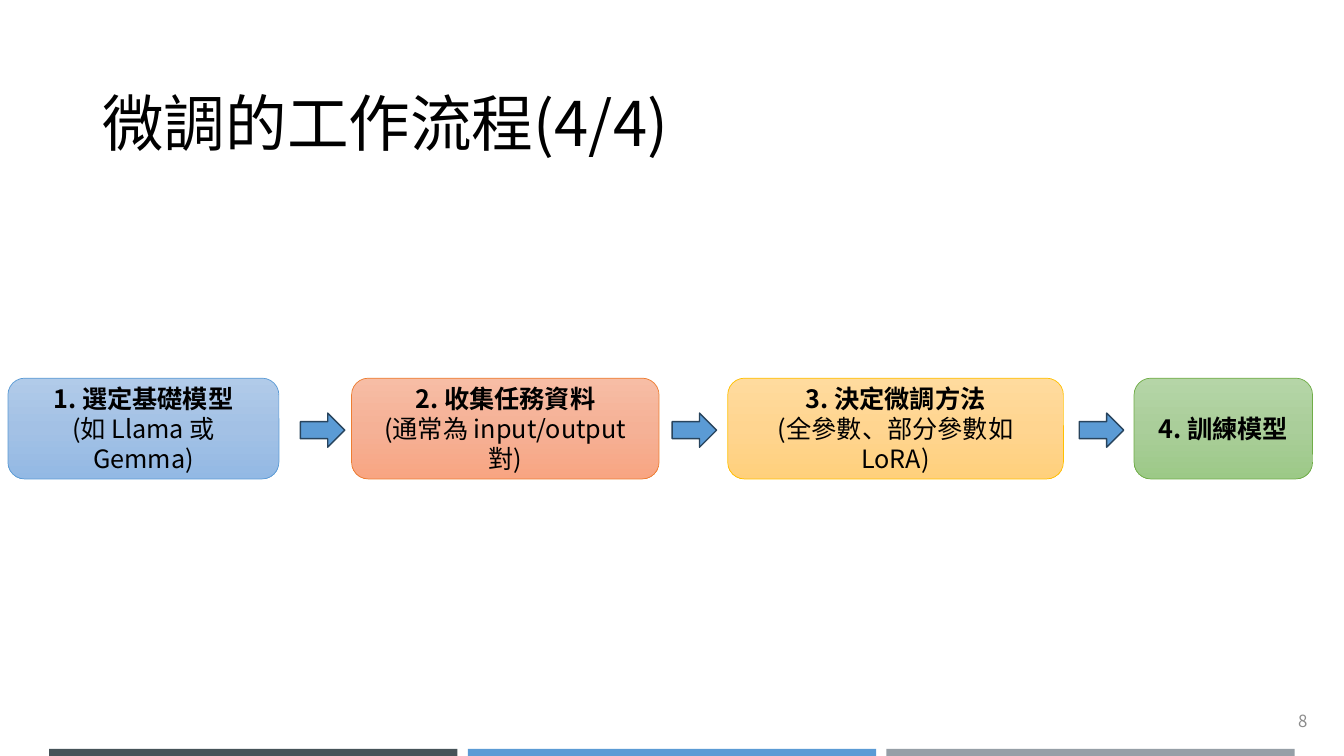
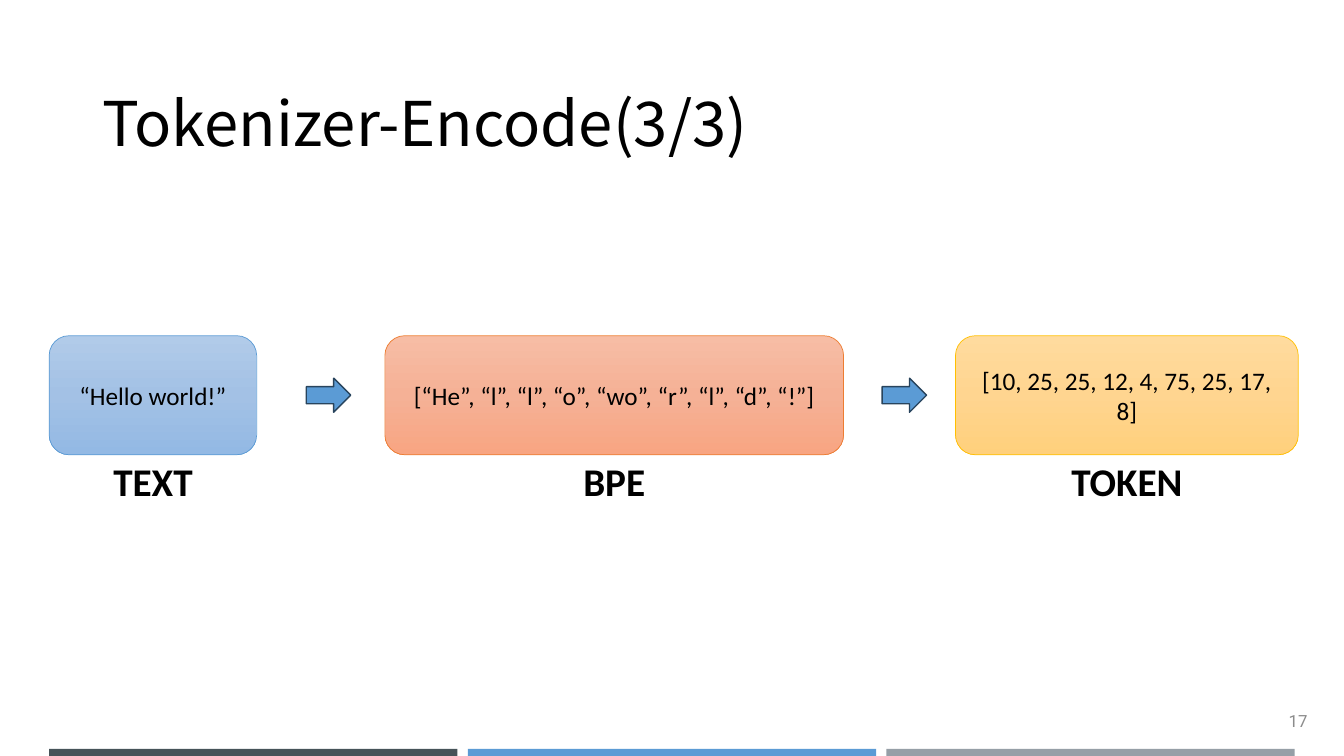
import copy

import pptx
import pptx.dml.color
import pptx.enum.shapes
import pptx.enum.text
import pptx.oxml.ns
import pptx.util

Cm, Pt = pptx.util.Cm, pptx.util.Pt
Shape = pptx.enum.shapes.MSO_SHAPE
Align = pptx.enum.text.PP_ALIGN
Anchor = pptx.enum.text.MSO_ANCHOR
qn = pptx.oxml.ns.qn

CJK, LATIN, NUMBER = "Noto Sans CJK SC", "Calibri", "Roboto"
COLORS = {
    "text": "000000", "number": "8C8C8C", "arrow": "5B9BD5", "arrow_line": "28445D",
    "band_dark": "465359", "band_blue": "5B9BD5", "band_gray": "969FA7",
}
# Outline, then gradient stops from top to bottom
CARD_STYLES = [
    ("5B9BD5", ("B1CBE9", "A3C1E5", "93B9E4")),
    ("ED7D31", ("F7BDA5", "F5B196", "F8A582")),
    ("FFC000", ("FFDB9E", "FFD590", "FFD07C")),
    ("70AD47", ("B5D5A7", "AACE9A", "9CC987")),
]
BANDS = ("band_dark", "band_blue", "band_gray")

# Lengths in centimetres; a card is left, width, heading, body, label
SLIDES = [
    {
        "title": "微調的工作流程(4/4)", "number": "8", "number_font": CJK,
        "card_font": CJK, "card_top": 9.53, "card_height": 2.54,
        "cards": [
            (0.2, 6.83, "1. 選定基礎模型", "(如 Llama 或 Gemma)", None),
            (8.86, 7.75, "2. 收集任務資料", "(通常為 input/output 對)", None),
            (18.34, 8.46, "3. 決定微調方法", "(全參數、部分參數如 LoRA)", None),
            (28.58, 4.5, "4. 訓練模型", None, None),
        ],
        "arrow_top": 10.41, "arrows": (7.57, 16.94, 27.2),
    },
    {
        "title": "Tokenizer-Encode(3/3)", "number": "17", "number_font": NUMBER,
        "card_font": LATIN, "card_top": 8.46, "card_height": 3,
        "cards": [
            (1.24, 5.23, None, "“Hello world!”", "TEXT"),
            (9.7, 11.56, None, "[“He”, “l”, “l”, “o”, “wo”, “r”, “l”, “d”, “!”]", "BPE"),
            (24.08, 8.64, None, "[10, 25, 25, 12, 4, 75, 25, 17, 8]", "TOKEN"),
        ],
        "arrow_top": 9.53, "arrows": (7.72, 22.23),
    },
]


def rgb(value):
    return pptx.dml.color.RGBColor.from_string(value)


def write(frame, text, *, size, font, color="text", bold=False, align=Align.LEFT, spacing=None):
    """Write text into the frame's empty first paragraph, or into a new one."""
    paragraph = frame.paragraphs[0] if not frame.text else frame.add_paragraph()
    paragraph.alignment = align
    paragraph.line_spacing = spacing
    run = paragraph.add_run()
    run.text = text
    run.font.size, run.font.bold, run.font.name = Pt(size), bold, font
    run.font.color.rgb = rgb(COLORS[color])
    east_asian = copy.deepcopy(run.font._element.find(qn("a:latin")))
    east_asian.tag = qn("a:ea")
    run.font._element.find(qn("a:latin")).addnext(east_asian)


def add_text(slide, box, text, *, anchor=Anchor.MIDDLE, **text_format):
    frame = slide.shapes.add_textbox(*map(Cm, box)).text_frame
    frame.word_wrap = True
    frame.vertical_anchor = anchor
    write(frame, text, **text_format)


def add_shape(slide, kind, box, *, fill=None, line=None, line_width=1):
    shape = slide.shapes.add_shape(kind, *map(Cm, box))
    shape.shadow.inherit = False
    if fill:
        shape.fill.solid()
        shape.fill.fore_color.rgb = rgb(fill)
    if line:
        shape.line.color.rgb = rgb(line)
        shape.line.width = Pt(line_width)
    else:
        shape.line.fill.background()
    return shape


def fill_gradient(shape, colors):
    """Fill with three evenly spaced stops running downwards."""
    shape.fill.gradient()
    shape.fill.gradient_angle = 270
    stops = shape._element.spPr.find(".//" + qn("a:gsLst"))
    stops.insert(1, copy.deepcopy(stops[0]))
    for index, (stop, color) in enumerate(zip(shape.fill.gradient_stops, colors)):
        stop.position = index / 2
        stop.color.rgb = rgb(color)


def add_card(slide, content, card, style):
    left, width, heading, body, label = card
    line, gradient = style
    top, height, font = content["card_top"], content["card_height"], content["card_font"]
    shape = add_shape(slide, Shape.ROUNDED_RECTANGLE, (left, top, width, height),
                      line=line, line_width=0.5)
    fill_gradient(shape, gradient)
    frame = shape.text_frame
    frame.word_wrap = True
    frame.vertical_anchor = Anchor.MIDDLE
    for text, bold in ((heading, True), (body, False)):
        if text:
            write(frame, text, size=18, font=font, bold=bold, align=Align.CENTER)
    if label:
        add_text(slide, (left, top + height - 0.05, width, 1.45), label, anchor=Anchor.TOP,
                 size=28, font=font, bold=True, align=Align.CENTER)


def add_frame(slide, content):
    """Add the title, page number and bottom bands that all slides share."""
    for index, band in enumerate(BANDS):
        add_shape(slide, Shape.RECTANGLE, (1.24 + index * 10.55, 18.87, 10.29, 0.18),
                  fill=COLORS[band])
    add_text(slide, (2.33, 1.7, 29.21, 3), content["title"], size=44, font=CJK, spacing=0.9)
    add_text(slide, (25.58, 17.65, 7.62, 1.02), content["number"], size=12,
             font=content["number_font"], color="number", align=Align.RIGHT)


def main():
    presentation = pptx.Presentation()
    presentation.slide_width, presentation.slide_height = Cm(33.87), Cm(19.05)
    for content in SLIDES:
        slide = presentation.slides.add_slide(presentation.slide_layouts[6])
        add_frame(slide, content)
        for card, style in zip(content["cards"], CARD_STYLES):
            add_card(slide, content, card, style)
        for left in content["arrows"]:
            add_shape(slide, Shape.RIGHT_ARROW, (left, content["arrow_top"], 1.12, 0.86),
                      fill=COLORS["arrow"], line=COLORS["arrow_line"])
    presentation.save("out.pptx")


if __name__ == "__main__":
    main()
